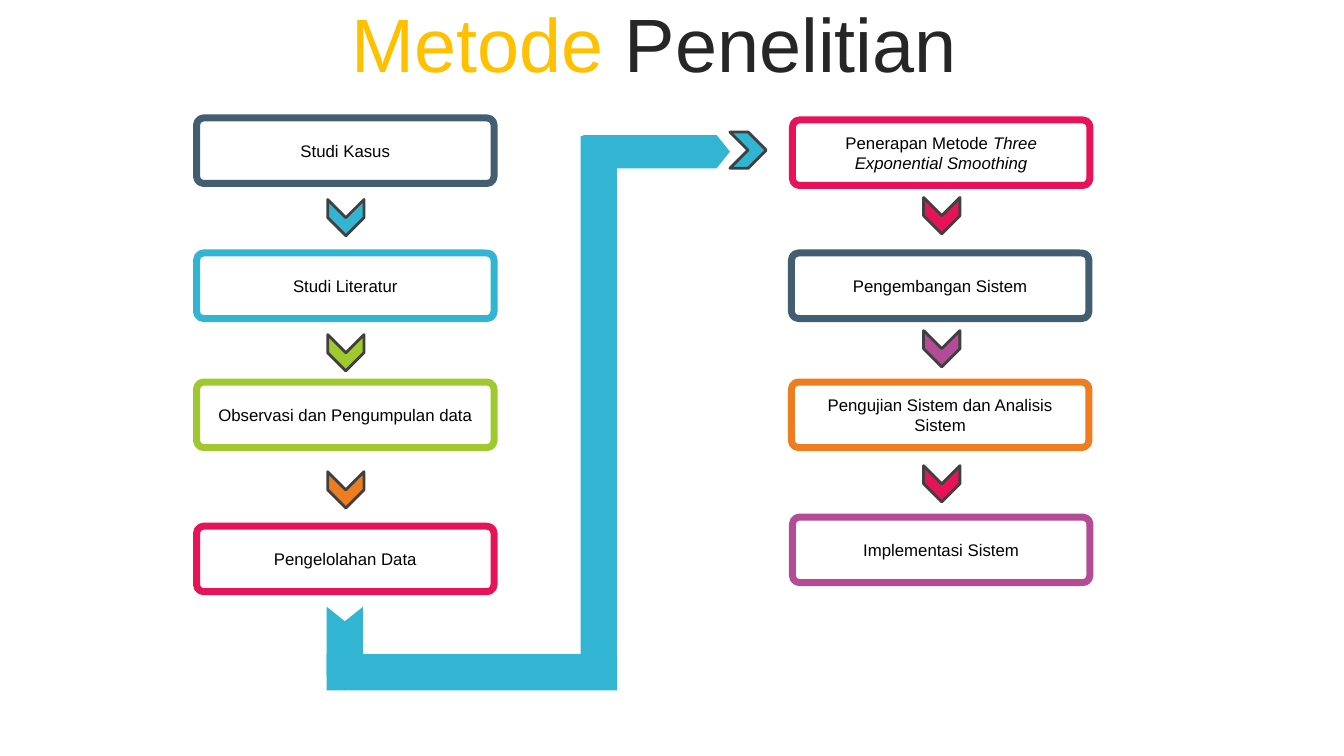
from pptx import Presentation
from pptx import util as u
from pptx.dml.color import RGBColor
from pptx.enum import shapes, text

FONT = "Arial"
WHITE = RGBColor(0xFF, 0xFF, 0xFF)
BLACK = RGBColor(0x00, 0x00, 0x00)
DARK = RGBColor(0x26, 0x26, 0x26)
EDGE = RGBColor(0x40, 0x40, 0x40)
GOLD = RGBColor(0xFF, 0xC0, 0x00)
SLATE = RGBColor(0x43, 0x5E, 0x71)
BLUE = RGBColor(0x32, 0xB5, 0xD3)
GREEN = RGBColor(0xA0, 0xC8, 0x2F)
ORANGE = RGBColor(0xED, 0x7D, 0x1F)
RED = RGBColor(0xE6, 0x13, 0x58)
PURPLE = RGBColor(0xB4, 0x4B, 0x97)

KIND = shapes.MSO_SHAPE
STEP_W, STEP_H = 2.95, 0.65
MARK = 0.36

# Each step: x offset, top, line colour, runs as (wording, italic)
LEFT = [
    (0, 1.17, SLATE, [("Studi Kasus", False)]),
    (0, 2.51, BLUE, [("Studi Literatur", False)]),
    (0, 3.79, GREEN, [("Observasi dan Pengumpulan data", False)]),
    (0, 5.22, RED, [("Pengelolahan Data", False)]),
]
RIGHT = [
    (0.01, 1.19, RED, [("Penerapan Metode ", False),
                       ("Three Exponential Smoothing", True)]),
    (0, 2.51, SLATE, [("Pengembangan Sistem", False)]),
    (0, 3.79, ORANGE, [("Pengujian Sistem dan Analisis Sistem", False)]),
    (0.01, 5.13, PURPLE, [("Implementasi Sistem", False)]),
]
# Each mark: top, fill colour
LEFT_MARKS = [(1.98, BLUE), (3.32, GREEN), (4.68, ORANGE)]
RIGHT_MARKS = [(1.96, RED), (3.28, PURPLE), (4.62, RED)]


def add_run(para, words, size, color, italic=False):
    """Add one formatted run to a paragraph."""
    run = para.add_run()
    run.text = words
    font = run.font
    font.name, font.size, font.italic = FONT, u.Pt(size), italic
    font.color.rgb = color


def add_form(slide, kind, box, fill, line=None, width=0, adj=None, turn=0):
    """Add a preset shape in box (left, top, width, height)."""
    form = slide.shapes.add_shape(kind, *map(u.Inches, box))
    form.shadow.inherit = False
    form.fill.solid()
    form.fill.fore_color.rgb = fill
    if line is None:
        form.line.fill.background()
    else:
        form.line.color.rgb = line
        form.line.width = u.Pt(width)
    if adj is not None:
        form.adjustments[0] = adj
    form.rotation = turn
    return form


def add_title(slide, box):
    """Place the two-colour heading in the title placeholder."""
    title = slide.shapes.title
    title.left, title.top, title.width, title.height = map(u.Inches, box)
    frame = title.text_frame
    frame.auto_size = text.MSO_AUTO_SIZE.NONE
    frame.vertical_anchor = text.MSO_ANCHOR.MIDDLE
    para = frame.paragraphs[0]
    para.alignment = text.PP_ALIGN.CENTER
    para.line_spacing = 0.9
    add_run(para, "Metode ", 54, GOLD)
    add_run(para, "Penelitian", 54, DARK)


def add_step(slide, box, color, runs):
    """Add one rounded step with its label."""
    step = add_form(slide, KIND.ROUNDED_RECTANGLE, box, WHITE, color, 5, 0.107)
    frame = step.text_frame
    frame.word_wrap = True
    frame.vertical_anchor = text.MSO_ANCHOR.MIDDLE
    para = frame.paragraphs[0]
    para.alignment = text.PP_ALIGN.CENTER
    for words, italic in runs:
        add_run(para, words, 12, BLACK, italic)


def add_mark(slide, left, top, color, turn=0):
    """Add one outlined chevron."""
    add_form(slide, KIND.CHEVRON, (left, top, MARK, MARK), color, EDGE, 2,
             turn=turn)


def add_column(slide, left, steps, mark_left, marks):
    """Add a column of steps and the chevrons pointing down between them."""
    for shift, top, color, runs in steps:
        add_step(slide, (left + shift, top, STEP_W, STEP_H), color, runs)
    for top, color in marks:
        add_mark(slide, mark_left, top, color, turn=90)


def add_bend(slide, left, top, width, height):
    """Add the thick path from the last left step to the first right one."""
    right, low = left + width, top + height
    stem = right - 1.48
    add_form(slide, KIND.RECTANGLE, (stem, top + 0.01, MARK, height - 0.1),
             BLUE)
    add_form(slide, KIND.RECTANGLE,
             (left, low - MARK, stem + MARK - left, MARK), BLUE)
    tail = 0.83
    add_form(slide, KIND.CHEVRON,
             (left + (MARK - tail) / 2, low - (MARK + tail) / 2, tail, MARK),
             BLUE, adj=0.399, turn=90)
    add_form(slide, KIND.CHEVRON, (stem + 0.02, top, 1.46, 0.33), BLUE,
             adj=0.399)
    add_mark(slide, right, top - 0.03, BLUE)


def main():
    """Build the slide and save it."""
    deck = Presentation()
    deck.slide_width, deck.slide_height = u.Inches(13.33), u.Inches(7.5)
    slide = deck.slides.add_slide(deck.slide_layouts[5])
    add_title(slide, (0.16, 0.08, 12.66, 0.79))
    add_bend(slide, 3.24, 1.34, 4.0, 5.51)
    add_column(slide, 1.95, LEFT, 3.25, LEFT_MARKS)
    add_column(slide, 7.85, RIGHT, 9.16, RIGHT_MARKS)
    deck.save("out.pptx")


main()
